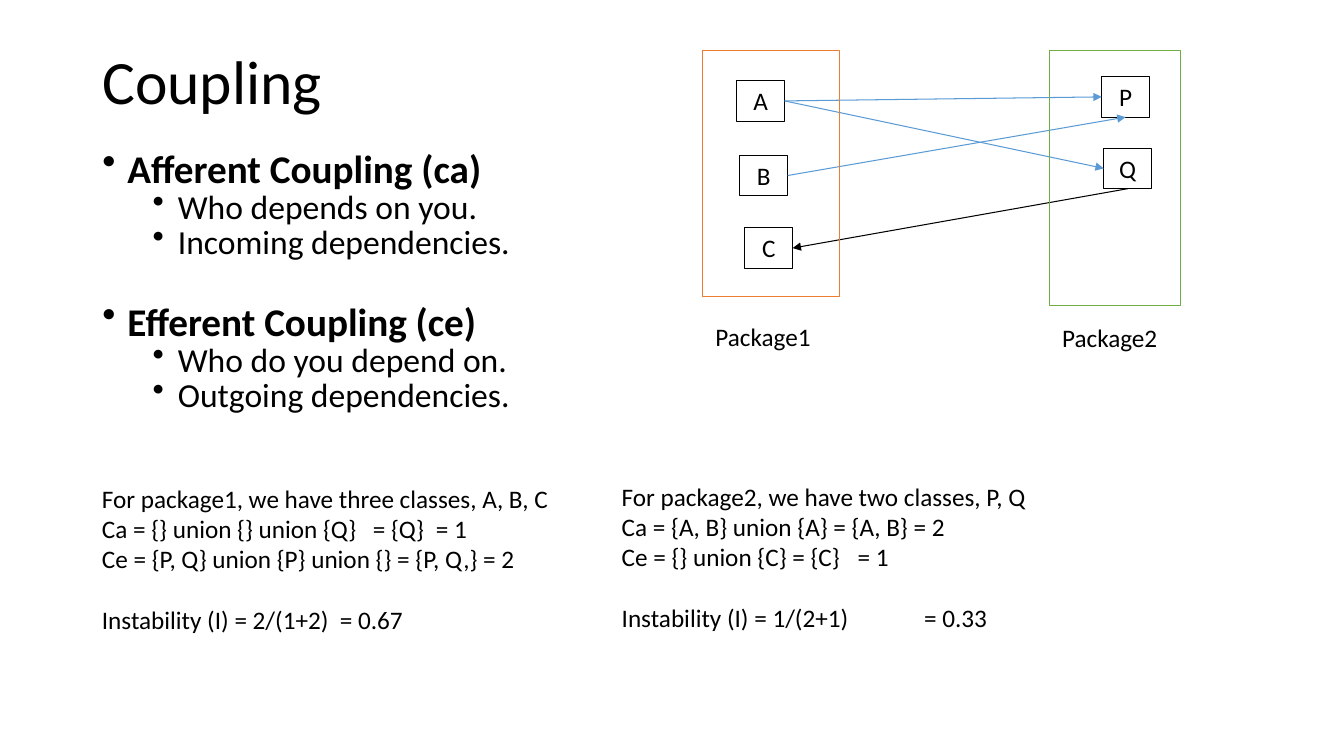
"""Builds the Coupling slide: definitions, package diagram and worked metrics."""
from lxml.etree import SubElement
from pptx import Presentation
from pptx.dml.color import RGBColor
from pptx.enum.shapes import MSO_CONNECTOR, MSO_SHAPE
from pptx.enum.text import MSO_ANCHOR, PP_ALIGN
from pptx.oxml.ns import qn
from pptx.util import Pt

BLACK = RGBColor(0x00, 0x00, 0x00)
BLUE = RGBColor(0x5B, 0x9B, 0xD5)
ORANGE = RGBColor(0xED, 0x7D, 0x31)
GREEN = RGBColor(0x70, 0xAD, 0x47)
FONT = "Calibri"
LEFT, BOTTOM, RIGHT = 1, 2, 3

DEFINITIONS = [
    ("Afferent Coupling (ca)", ["Who depends on you.", "Incoming dependencies."]),
    ("Efferent Coupling (ce)", ["Who do you depend on.", "Outgoing dependencies."]),
]
PACKAGES = [
    ("Package1", ORANGE, (0, 0, 97.9, 175.7), (2.2, 190.1)),
    ("Package2", GREEN, (247.7, 0, 93.6, 182.2), (249.8, 190.8)),
]
CLASSES = {
    "A": (24.5, 21.6),
    "B": (26.6, 74.9),
    "C": (30.2, 126.7),
    "P": (285.1, 18.7),
    "Q": (286.6, 69.8),
}
DEPENDENCIES = [
    ("A", RIGHT, "P", LEFT, BLUE),
    ("A", RIGHT, "Q", LEFT, BLUE),
    ("B", RIGHT, "P", BOTTOM, BLUE),
    ("Q", BOTTOM, "C", RIGHT, BLACK),
]
PACKAGE1_METRICS = [
    ("For package1, we have three classes, A, B, C", ()),
    ("Ca = {} union {} union {Q}\t= {Q}\t= 1", (193.5, 238.5)),
    ("Ce = {P, Q} union {P} union {} = {P, Q,} = 2", ()),
    ("Instability (I) = 2/(1+2)\t= 0.67", (170,)),
]
PACKAGE2_METRICS = [
    ("For package2, we have two classes, P, Q", ()),
    ("Ca = {A, B} union {A} = {A, B} = 2", ()),
    ("Ce = {} union {C} = {C}\t= 1", (168.5,)),
    ("Instability (I) = 1/(2+1)\t= 0.33", (216,)),
]


def write(paragraph, text, size, bold=False):
    """Fill a paragraph and format its runs."""
    paragraph.text = text
    for run in paragraph.runs:
        run.font.name = FONT
        run.font.size = Pt(size)
        run.font.bold = bold
        run.font.color.rgb = BLACK


def add_frame(slide, left, top, width, height):
    """Add a wrapping text box and return its text frame."""
    frame = slide.shapes.add_textbox(Pt(left), Pt(top), Pt(width), Pt(height)).text_frame
    frame.word_wrap = True
    return frame


def next_paragraph(frame, index):
    """Return the first paragraph for index zero, otherwise a new one."""
    return frame.add_paragraph() if index else frame.paragraphs[0]


def add_outline(slide, left, top, width, height, color, weight):
    """Add an unfilled rectangle."""
    outline = slide.shapes.add_shape(
        MSO_SHAPE.RECTANGLE, Pt(left), Pt(top), Pt(width), Pt(height))
    outline.shadow.inherit = False
    outline.fill.background()
    outline.line.color.rgb = color
    outline.line.width = Pt(weight)
    return outline


def add_bullet(paragraph, margin):
    """Give a paragraph a hanging bullet."""
    properties = paragraph._p.get_or_add_pPr()
    properties.set("marL", str(Pt(margin)))
    properties.set("indent", str(-Pt(18)))
    SubElement(properties, qn("a:buChar"), char="•")


def add_title(slide, left, top, width, height):
    """Place the slide heading."""
    frame = add_frame(slide, left, top, width, height)
    frame.vertical_anchor = MSO_ANCHOR.MIDDLE
    heading = frame.paragraphs[0]
    heading.line_spacing = 0.9
    write(heading, "Coupling", 44)


def add_definitions(slide, left, top, width, height):
    """Place the two bulleted definitions."""
    frame = add_frame(slide, left, top, width, height)
    for index, (term, meanings) in enumerate(DEFINITIONS):
        heading = next_paragraph(frame, index)
        heading.line_spacing = 0.7
        heading.space_before = Pt(35.5 if index else 0)
        write(heading, term, 28, bold=True)
        add_bullet(heading, 18)
        for meaning in meanings:
            detail = frame.add_paragraph()
            detail.level = 1
            detail.line_spacing = 0.7
            detail.space_before = Pt(5)
            write(detail, meaning, 24)
            add_bullet(detail, 54)


def add_metrics(slide, left, top, width, height, metrics):
    """Place the calculation lines for one package."""
    frame = add_frame(slide, left, top, width, height)
    for index, (formula, stops) in enumerate(metrics):
        line = next_paragraph(frame, index)
        line.space_before = Pt(22 if index == len(metrics) - 1 else 0)
        write(line, formula, 18)
        if stops:
            tabs = SubElement(line._p.get_or_add_pPr(), qn("a:tabLst"))
            for stop in stops:
                SubElement(tabs, qn("a:tab"), pos=str(Pt(stop)), algn="l")


def add_dependency(slide, source, source_side, target, target_side, color):
    """Join two class boxes with an arrow."""
    arrow = slide.shapes.add_connector(MSO_CONNECTOR.STRAIGHT, 0, 0, 0, 0)
    arrow.begin_connect(source, source_side)
    arrow.end_connect(target, target_side)
    arrow.line.color.rgb = color
    arrow.line.width = Pt(0.75)
    SubElement(arrow.line._get_or_add_ln(), qn("a:tailEnd"), type="triangle")
    SubElement(arrow._element.spPr, qn("a:effectLst"))


def add_diagram(slide, left, top):
    """Place the packages, their classes and the dependencies."""
    boxes = {}
    for name, (x, y) in CLASSES.items():
        box = add_outline(slide, left + x, top + y, 34.2, 29, BLACK, 0.75)
        box.text_frame.vertical_anchor = MSO_ANCHOR.TOP
        label = box.text_frame.paragraphs[0]
        write(label, name, 18)
        label.alignment = PP_ALIGN.CENTER
        boxes[name] = box
    for source, source_side, target, target_side, color in DEPENDENCIES:
        add_dependency(slide, boxes[source], source_side, boxes[target], target_side, color)
    for name, color, (x, y, width, height), (label_x, label_y) in PACKAGES:
        add_outline(slide, left + x, top + y, width, height, color, 1)
        caption = add_frame(slide, left + label_x, top + label_y, 96.5, 29)
        write(caption.paragraphs[0], name, 18)


def main():
    """Build and save the slide."""
    deck = Presentation()
    deck.slide_width, deck.slide_height = Pt(960), Pt(540)
    slide = deck.slides.add_slide(deck.slide_layouts[6])
    add_title(slide, 66, 29, 296, 62.5)
    add_definitions(slide, 66, 108.7, 313, 230)
    add_metrics(slide, 65.7, 341.5, 345, 116.5, PACKAGE1_METRICS)
    add_metrics(slide, 437, 340, 464, 116.5, PACKAGE2_METRICS)
    add_diagram(slide, 501.8, 36)
    deck.save("out.pptx")


if __name__ == "__main__":
    main()
